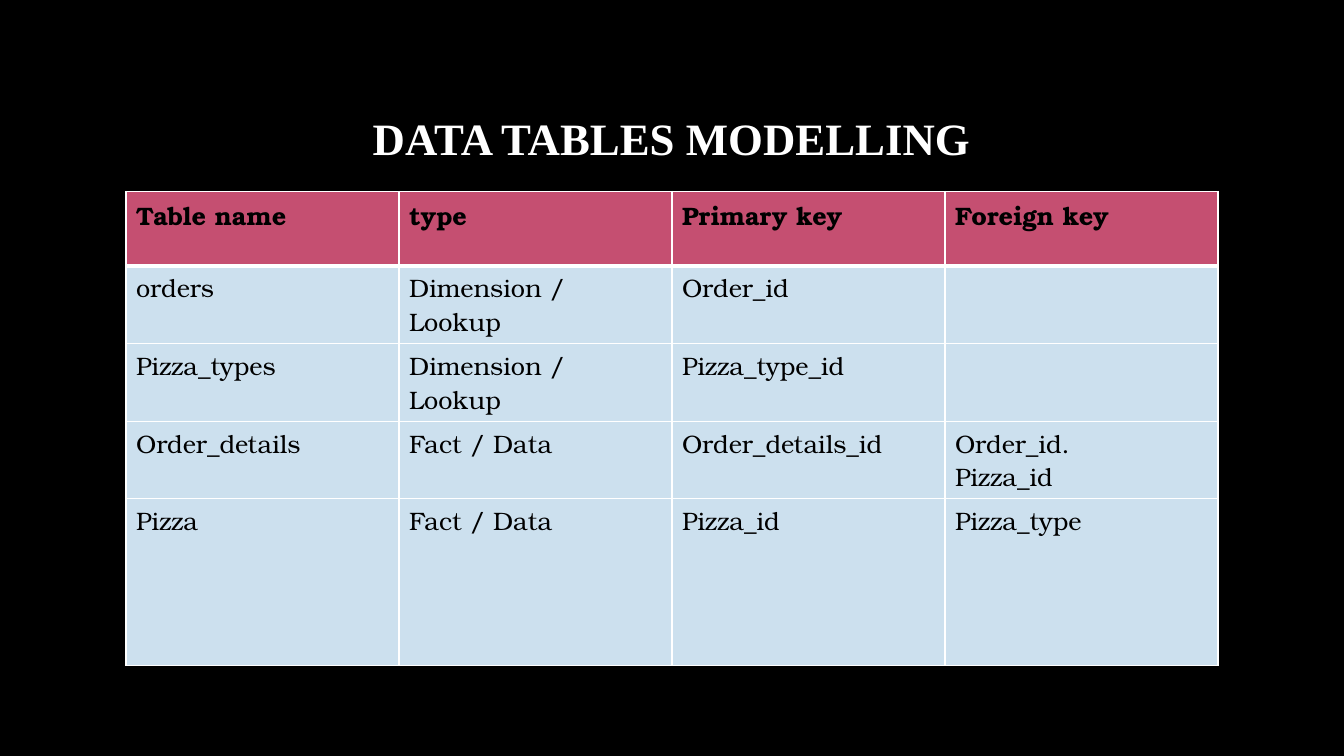
from lxml import etree
from pptx import Presentation
from pptx.dml.color import RGBColor
from pptx.enum.text import MSO_ANCHOR, PP_ALIGN
from pptx.oxml.ns import qn
from pptx.util import Inches, Pt

CENTER = PP_ALIGN.CENTER
MIDDLE = MSO_ANCHOR.MIDDLE
BLACK, WHITE, ROSE, PALE_BLUE = "000000", "FFFFFF", "C54F71", "CCE0EE"

ROWS = [
    ["Table name", "type", "Primary key", "Foreign key"],
    ["orders", "Dimension / Lookup", "Order_id", ""],
    ["Pizza_types", "Dimension / Lookup", "Pizza_type_id", ""],
    ["Order_details", "Fact / Data", "Order_details_id", "Order_id.\nPizza_id"],
    ["Pizza", "Fact / Data", "Pizza_id", "Pizza_type"],
]
ROW_HEIGHTS = [0.74, 0.77, 0.77, 0.77, 1.65]
TABLE_WIDTH = 10.83


def add_run(p, text, font, size, color, bold):
    r = p.add_run()
    r.text = text
    r.font.name = font
    r.font.size = Pt(size)
    r.font.bold = bold
    r.font.color.rgb = RGBColor.from_string(color)


def set_border(cell, side, color, width):
    ln = etree.SubElement(cell._tc.get_or_add_tcPr(), qn("a:" + side), w=str(Pt(width)))
    fill = etree.SubElement(ln, qn("a:solidFill"))
    etree.SubElement(fill, qn("a:srgbClr"), val=color)


prs = Presentation()
prs.slide_width = Inches(13.33)
prs.slide_height = Inches(7.5)
s = prs.slides.add_slide(prs.slide_layouts[6])
s.background.fill.solid()
s.background.fill.fore_color.rgb = RGBColor.from_string(BLACK)

# Title
title = s.shapes.add_textbox(Inches(1), Inches(0.67), Inches(11.32), Inches(1.45))
tf = title.text_frame
tf.word_wrap = True
tf.vertical_anchor = MIDDLE
p = tf.paragraphs[0]
p.alignment = CENTER
p.line_spacing = 0.9
add_run(p, "DATA TABLES MODELLING", "Times New Roman", 32, WHITE, True)

# Table of keys
table = s.shapes.add_table(len(ROWS), len(ROWS[0]), Inches(1.25), Inches(1.9),
                           Inches(TABLE_WIDTH), Inches(sum(ROW_HEIGHTS))).table
table.horz_banding = False
for row, height in zip(table.rows, ROW_HEIGHTS):
    row.height = Inches(height)

for i, texts in enumerate(ROWS):
    header = i == 0
    for j, text in enumerate(texts):
        cell = table.cell(i, j)
        # Borders: the line under the header is heavier
        for side in ("lnL", "lnR", "lnT", "lnB"):
            heavy = (i, side) in ((0, "lnB"), (1, "lnT"))
            set_border(cell, side, WHITE, 3 if heavy else 1)
        cell.fill.solid()
        cell.fill.fore_color.rgb = RGBColor.from_string(ROSE if header else PALE_BLUE)
        if not text:
            continue
        tf = cell.text_frame
        for k, line in enumerate(text.split("\n")):
            p = tf.add_paragraph() if k else tf.paragraphs[0]
            add_run(p, line, "TeX Gyre Bonum", 18, BLACK, header)

prs.save("out.pptx")
